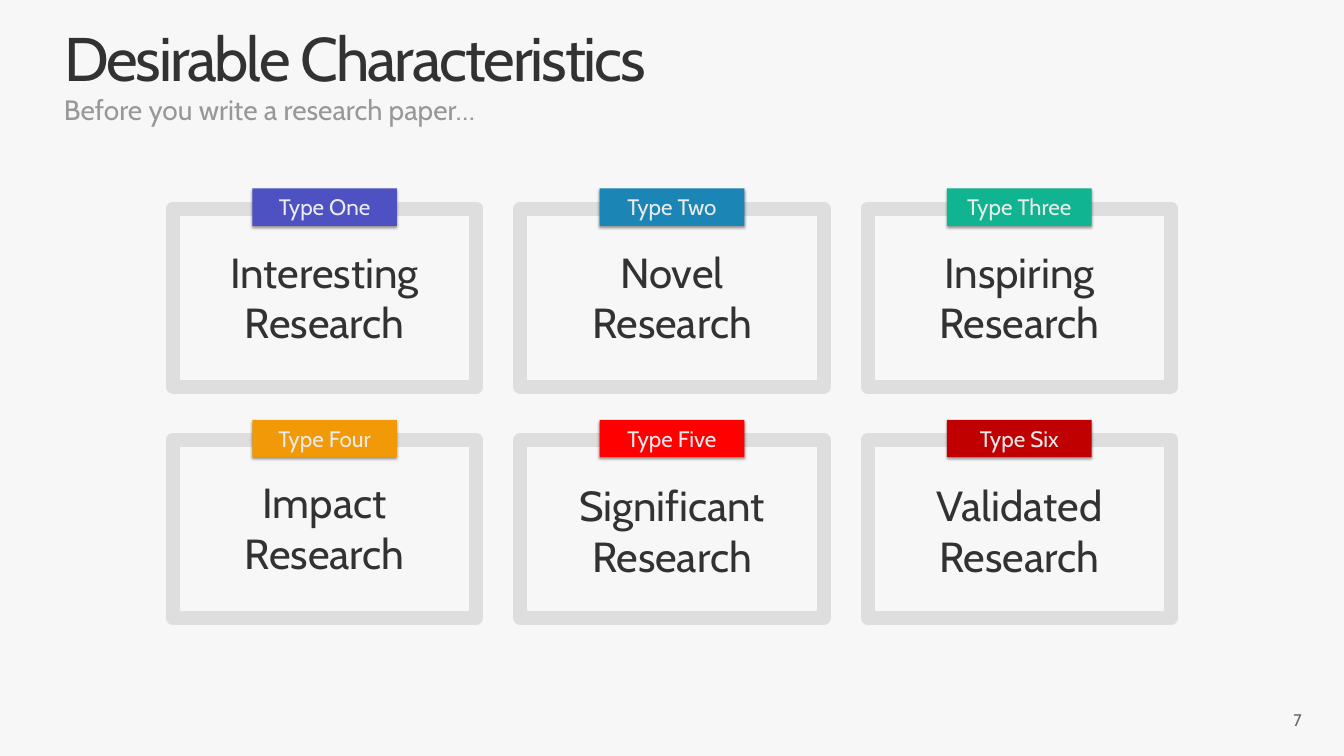
from lxml import etree
from pptx import Presentation
from pptx import util as u
from pptx.dml.color import RGBColor
from pptx.enum import shapes, text
from pptx.oxml import ns

COLORS = {
    "background": "F7F7F7", "heading": "323232", "subtitle": "989898",
    "number": "656565", "frame": "DEDEDE", "tag text": "EBEBEB",
    "violet": "4E51C2", "blue": "1B85B5", "green": "10B491",
    "orange": "F29908", "red": "FF0000", "crimson": "C00000",
}
TITLE = "Desirable Characteristics"
SUBTITLE = "Before you write a research paper…"
PAGE_NUMBER = "7"
# tag, tag colour, label, distance of the label below the frame top
CARDS = [
    ("Type One", "violet", "Interesting Research", 0.7),
    ("Type Two", "blue", "Novel Research", 0.7),
    ("Type Three", "green", "Inspiring Research", 0.7),
    ("Type Four", "orange", "Impact Research", 0.68),
    ("Type Five", "red", "Significant Research", 0.74),
    ("Type Six", "crimson", "Validated Research", 0.74),
]
FONT = "Cabin"
COLUMNS = 3
GRID_LEFT, GRID_TOP = 3.43, 4.14
STEP_X, STEP_Y = 6.89, 4.59
FRAME_W, FRAME_H = 6.02, 3.53
LABEL_W, LABEL_H = 5.33, 2.12
TAG_W, TAG_H, TAG_RISE = 2.87, 0.74, 0.4


def color(name):
    return RGBColor.from_string(COLORS[name])


def place(left, top, width, height):
    return [u.Inches(length) for length in (left, top, width, height)]


def write(shape, words, size, ink, align="LEFT", anchor="TOP", insets=(0.1, 0.05), **para_format):
    frame = shape.text_frame
    margin_x, margin_y = (u.Inches(inset) for inset in insets)
    frame_format = {
        "word_wrap": True, "auto_size": text.MSO_AUTO_SIZE.NONE,
        "vertical_anchor": text.MSO_ANCHOR[anchor],
        "margin_left": margin_x, "margin_right": margin_x,
        "margin_top": margin_y, "margin_bottom": margin_y,
    }
    for name, value in frame_format.items():
        setattr(frame, name, value)
    para = frame.paragraphs[0]
    para.alignment = text.PP_ALIGN[align]
    for name, value in para_format.items():
        setattr(para, name, value)
    span = para.add_run()
    span.text = words
    for name, value in {"name": FONT, "size": u.Pt(size), "bold": False}.items():
        setattr(span.font, name, value)
    span.font.color.rgb = color(ink)
    return span


def add_text(slide, area, *args, **kwargs):
    return write(slide.shapes.add_textbox(*place(*area)), *args, **kwargs)


def add_rectangle(slide, area):
    box = slide.shapes.add_shape(shapes.MSO_SHAPE.RECTANGLE, *place(*area))
    box.shadow.inherit = False
    return box


def add_shadow(shape):
    """Drop a soft black shadow straight down."""
    effects = shape._element.spPr.find(ns.qn("a:effectLst"))
    shadow = etree.SubElement(effects, ns.qn("a:outerShdw"), blurRad=str(u.Pt(4)),
                              dist=str(u.Pt(3)), dir="5400000", rotWithShape="0")
    black = etree.SubElement(shadow, ns.qn("a:srgbClr"), val="000000")
    etree.SubElement(black, ns.qn("a:alpha"), val="40000")


def add_card(slide, left, top, tag_words, tag_color, label, label_drop):
    frame = add_rectangle(slide, (left, top, FRAME_W, FRAME_H))
    frame.fill.background()
    frame.line.color.rgb = color("frame")
    frame.line.width = u.Pt(20)

    label_left = left + (FRAME_W - LABEL_W) / 2
    add_text(slide, (label_left, top + label_drop, LABEL_W, LABEL_H),
             label, 60, "heading", align="CENTER")

    tag_left = left + (FRAME_W - TAG_W) / 2
    tag = add_rectangle(slide, (tag_left, top - TAG_RISE, TAG_W, TAG_H))
    tag.fill.solid()
    tag.fill.fore_color.rgb = color(tag_color)
    tag.line.fill.background()
    add_shadow(tag)
    write(tag, tag_words, 32, "tag text", align="CENTER", insets=(0.2, 0.1))


def main():
    deck = Presentation()
    deck.slide_width, deck.slide_height = u.Inches(26.66), u.Inches(15)
    slide = deck.slides.add_slide(deck.slide_layouts[5])
    slide.background.fill.solid()
    slide.background.fill.fore_color.rgb = color("background")

    title = slide.shapes.title
    title.left, title.top, title.width, title.height = place(1.17, 0.45, 24.35, 1.48)
    span = write(title, TITLE, 88, "heading", anchor="BOTTOM", line_spacing=0.9)
    span.font._element.set("spc", "-300")
    add_text(slide, (1.17, 1.86, 24.35, 0.61), SUBTITLE, 40, "subtitle", line_spacing=0.9)
    add_text(slide, (19.92, 13.89, 6, 0.8), PAGE_NUMBER, 24, "number",
             align="RIGHT", anchor="MIDDLE")

    for index, card in enumerate(CARDS):
        row, column = divmod(index, COLUMNS)
        add_card(slide, GRID_LEFT + column * STEP_X, GRID_TOP + row * STEP_Y, *card)
    deck.save("out.pptx")


if __name__ == "__main__":
    main()
